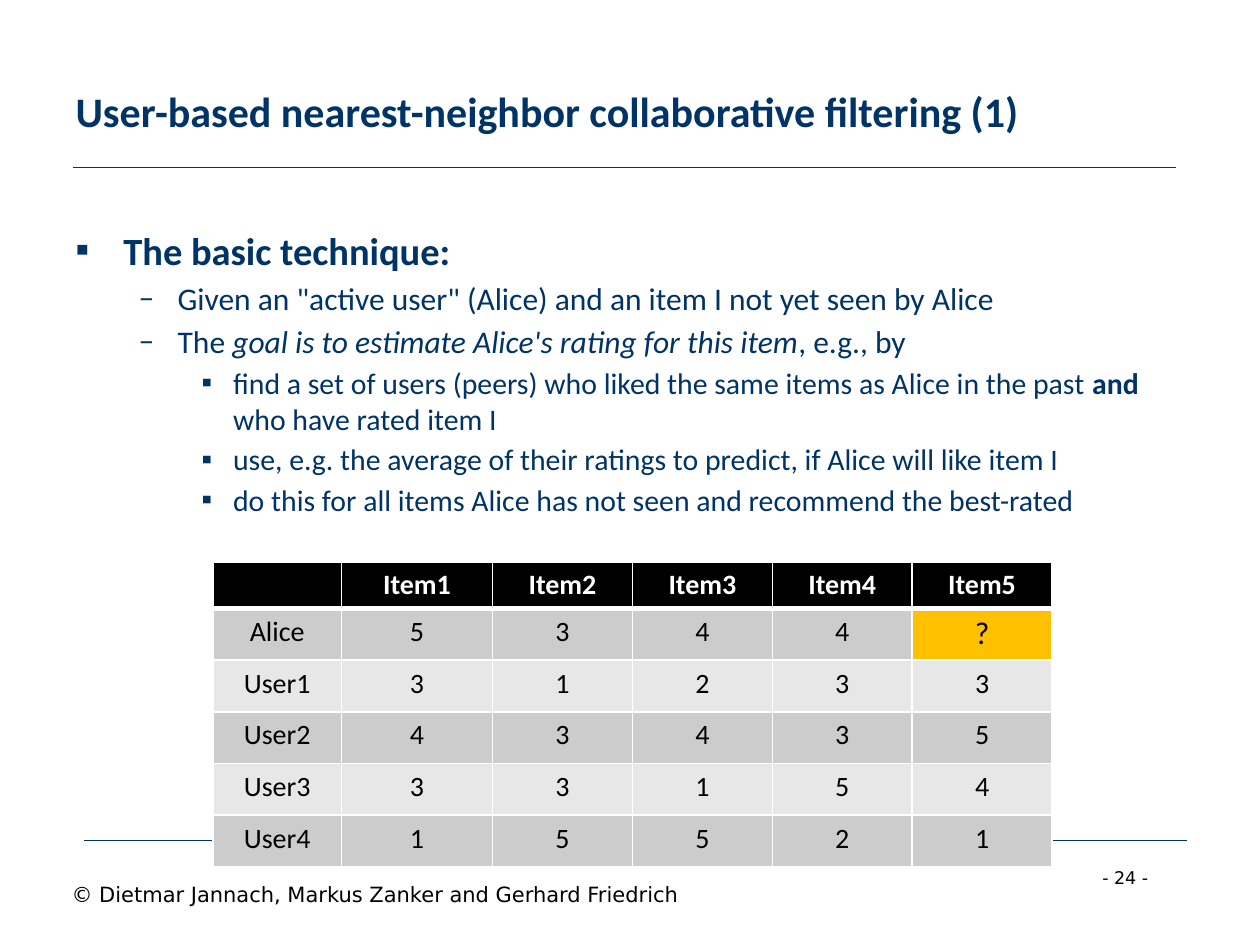
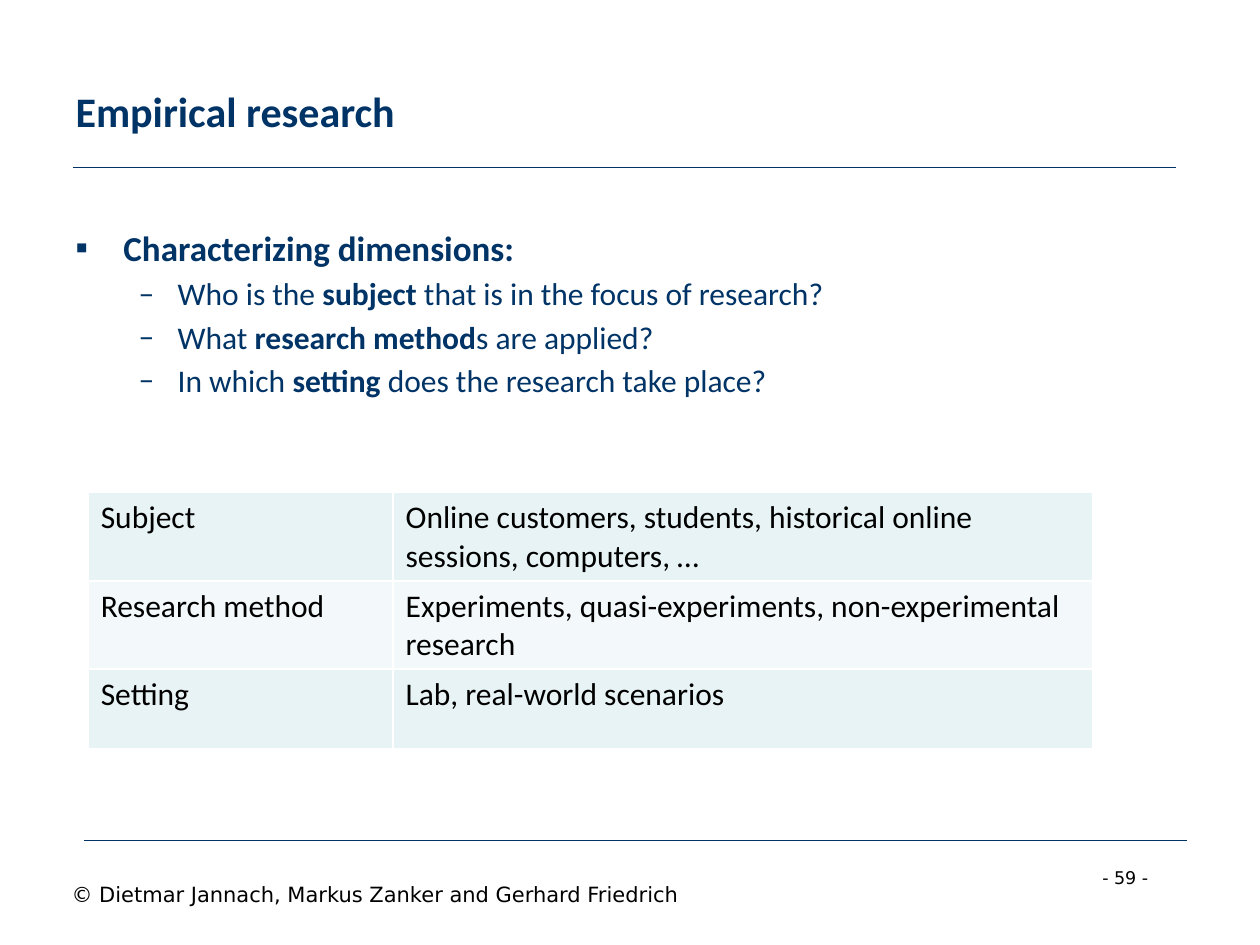
from dataclasses import dataclass
from typing import NamedTuple

from lxml.etree import SubElement
from pptx import Presentation
from pptx.dml.color import RGBColor
from pptx.enum.shapes import MSO_CONNECTOR as Connector
from pptx.enum.text import MSO_ANCHOR as Anchor, MSO_AUTO_SIZE as AutoSize, PP_ALIGN as Align
from pptx.oxml import parse_xml
from pptx.oxml.ns import nsdecls, qn
from pptx.util import Inches, Pt

# Shared look
NAVY, BLACK, WHITE = "003366", "000000", "FFFFFF"
MAIN_FONT, FOOTER_FONT = "Calibri", "DejaVu Sans"
COPYRIGHT = "© Dietmar Jannach, Markus Zanker and Gerhard Friedrich"


class Piece(NamedTuple):
    text: str
    bold: bool = False
    italic: bool = False


class Level(NamedTuple):
    indent: float
    hanging: float
    bullet: str
    size: float
    bold: bool
    space_before: float


class Point(NamedTuple):
    level: int
    pieces: list[Piece]


LEVELS = [
    Level(0.38, 0.38, "▪", 22, True, 0),
    Level(0.81, 0.31, "–", 18, False, 3.2),
    Level(1.25, 0.25, "▪", 17, False, 2.8),
]


@dataclass
class Grid:
    left: float
    top: float
    columns: list[float]
    heights: list[float]
    rows: list[list[str]]
    bands: tuple[str, str]
    size: float
    align: Align = Align.LEFT
    has_header: bool = False


def color(value: str) -> RGBColor:
    return RGBColor.from_string(value)


def set_font(font, size: float, hue: str, bold: bool = False, name: str = MAIN_FONT) -> None:
    font.name, font.size, font.bold = name, Pt(size), bold
    font.color.rgb = color(hue)


def place(shape, left: float, top: float, width: float, height: float) -> None:
    shape.left, shape.top = Inches(left), Inches(top)
    shape.width, shape.height = Inches(width), Inches(height)


def add_rule(slide, left: float, top: float) -> None:
    rule = slide.shapes.add_connector(
        Connector.STRAIGHT, Inches(left), Inches(top), Inches(left + 8.75), Inches(top))
    rule.line.color.rgb = color(NAVY)
    rule.line.width = Pt(0.75)
    SubElement(rule._element.spPr, qn("a:effectLst"))


def add_footer_text(slide, text: str, box: tuple[float, float, float, float],
                    size: float, wrap: bool) -> None:
    frame = slide.shapes.add_textbox(*map(Inches, box)).text_frame
    frame.word_wrap = wrap
    frame.text = text
    set_font(frame.paragraphs[0].font, size, BLACK, name=FOOTER_FONT)


def add_point(paragraph, point: Point, heading_size: float) -> None:
    level = LEVELS[point.level]
    paragraph.level = point.level
    props = paragraph._p.get_or_add_pPr()
    props.set("marL", str(Inches(level.indent)))
    props.set("indent", str(-Inches(level.hanging)))
    SubElement(props, qn("a:buFont"), typeface=MAIN_FONT)
    SubElement(props, qn("a:buChar"), char=level.bullet)
    paragraph.space_before = Pt(level.space_before)
    size = level.size if point.level else heading_size
    set_font(paragraph.font, size, NAVY, level.bold)
    for piece in point.pieces:
        run = paragraph.add_run()
        run.text = piece.text
        if piece.bold:
            run.font.bold = True
        if piece.italic:
            run.font.italic = True


def add_content_slide(deck, title: str, page: int, points: list[Point], heading_size: float):
    slide = deck.slides.add_slide(deck.slide_layouts[1])
    heading, body = slide.placeholders

    # Title
    place(heading, 0.5, 0.25, 9, 1.25)
    heading.text_frame.text = title
    heading.text_frame.auto_size = AutoSize.NONE
    heading.text_frame.vertical_anchor = Anchor.MIDDLE
    heading.text_frame.paragraphs[0].alignment = Align.LEFT
    set_font(heading.text_frame.paragraphs[0].font, 24, NAVY, True)

    # Bulleted list
    place(body, 0.5, 1.75, 9, 4.95)
    frame = body.text_frame
    frame.auto_size = AutoSize.NONE
    for index, point in enumerate(points):
        paragraph = frame.add_paragraph() if index else frame.paragraphs[0]
        add_point(paragraph, point, heading_size)

    # Rules and footer
    add_rule(slide, 0.58, 1.33)
    add_rule(slide, 0.67, 6.67)
    add_footer_text(slide, f"- {page} -", (8.65, 6.83, 0.76, 0.27), 10, False)
    add_footer_text(slide, COPYRIGHT, (0.47, 6.95, 6.34, 0.3), 12, True)
    return slide


def set_borders(cell, bottom: float) -> None:
    props = cell._tc.get_or_add_tcPr()
    for index, (side, width) in enumerate(zip("LRTB", (1, 1, 1, bottom))):
        props.insert(index, parse_xml(
            f'<a:ln{side} {nsdecls("a")} w="{Pt(width)}"><a:solidFill>'
            f'<a:srgbClr val="{WHITE}"/></a:solidFill></a:ln{side}>'))


def fill_cell(cell, hue: str) -> None:
    cell.fill.solid()
    cell.fill.fore_color.rgb = color(hue)


def add_grid(slide, grid: Grid):
    table = slide.shapes.add_table(
        len(grid.rows), len(grid.columns), Inches(grid.left), Inches(grid.top),
        Inches(sum(grid.columns)), Inches(sum(grid.heights))).table
    table.first_row, table.horz_banding = grid.has_header, False
    for column, width in zip(table.columns, grid.columns):
        column.width = Inches(width)
    for row_index, (row, height, texts) in enumerate(zip(table.rows, grid.heights, grid.rows)):
        row.height = Inches(height)
        is_header = grid.has_header and row_index == 0
        band = grid.bands[(row_index - grid.has_header) % 2]
        for cell, text in zip(row.cells, texts):
            fill_cell(cell, BLACK if is_header else band)
            set_borders(cell, 3 if is_header else 1)
            cell.text = text
            paragraph = cell.text_frame.paragraphs[0]
            paragraph.alignment = grid.align
            set_font(paragraph.font, grid.size, WHITE if is_header else BLACK, is_header)
            if not text:
                SubElement(paragraph._p, qn("a:endParaRPr"), sz=str(int(grid.size * 100)))
    return table


def build_neighbor_slide(deck) -> None:
    slide = add_content_slide(
        deck, "User-based nearest-neighbor collaborative filtering (1)", 24, [
            Point(0, [Piece("The basic technique:")]),
            Point(1, [Piece('Given an "active user" (Alice) and an item I not yet seen by Alice')]),
            Point(1, [Piece("The "),
                      Piece("goal is to estimate Alice's rating for this item", italic=True),
                      Piece(", e.g., by")]),
            Point(2, [Piece("find a set of users (peers) who liked the same items "
                            "as Alice in the past "),
                      Piece("and ", bold=True), Piece("who have rated item I")]),
            Point(2, [Piece("use, e.g. the average of their ratings to predict, "
                            "if Alice will like item I")]),
            Point(2, [Piece("do this for all items Alice has not seen "
                            "and recommend the best-rated")]),
        ], heading_size=22)

    ratings = {"Alice": "5344?", "User1": "31233", "User2": "43435",
               "User3": "33154", "User4": "15521"}
    header = [""] + [f"Item{number}" for number in range(1, 6)]
    table = add_grid(slide, Grid(
        1.69, 4.46, [1.02, 1.2] + [1.11] * 4, [0.37] + [0.41] * 5,
        [header] + [[user, *scores] for user, scores in ratings.items()],
        ("CCCCCC", "E7E7E7"), 16, Align.CENTER, has_header=True))

    # The rating to predict
    unknown_rating = table.cell(1, 5)
    fill_cell(unknown_rating, "FFC000")
    unknown_rating.text_frame.paragraphs[0].font.size = Pt(18)


def build_research_slide(deck) -> None:
    slide = add_content_slide(deck, "Empirical research", 59, [
        Point(0, [Piece("Characterizing dimensions:")]),
        Point(1, [Piece("Who is the "), Piece("subject", bold=True),
                  Piece(" that is in the focus of research?")]),
        Point(1, [Piece("What "), Piece("research method", bold=True),
                  Piece("s are applied?")]),
        Point(1, [Piece("In which "), Piece("setting", bold=True),
                  Piece(" does the research take place?")]),
    ], heading_size=20)

    add_grid(slide, Grid(
        0.7, 3.91, [2.42, 5.55], [0.7, 0.7, 0.63], [
            ["Subject", "Online customers, students, historical online sessions, computers, …"],
            ["Research method", "Experiments, quasi-experiments, non-experimental research"],
            ["Setting", "Lab, real-world scenarios"],
        ], ("E7F3F4", "F3F9FA"), 18))


def main() -> None:
    deck = Presentation()
    deck.slide_width, deck.slide_height = Inches(10), Inches(7.5)
    build_neighbor_slide(deck)
    build_research_slide(deck)
    deck.save("out.pptx")


if __name__ == "__main__":
    main()
